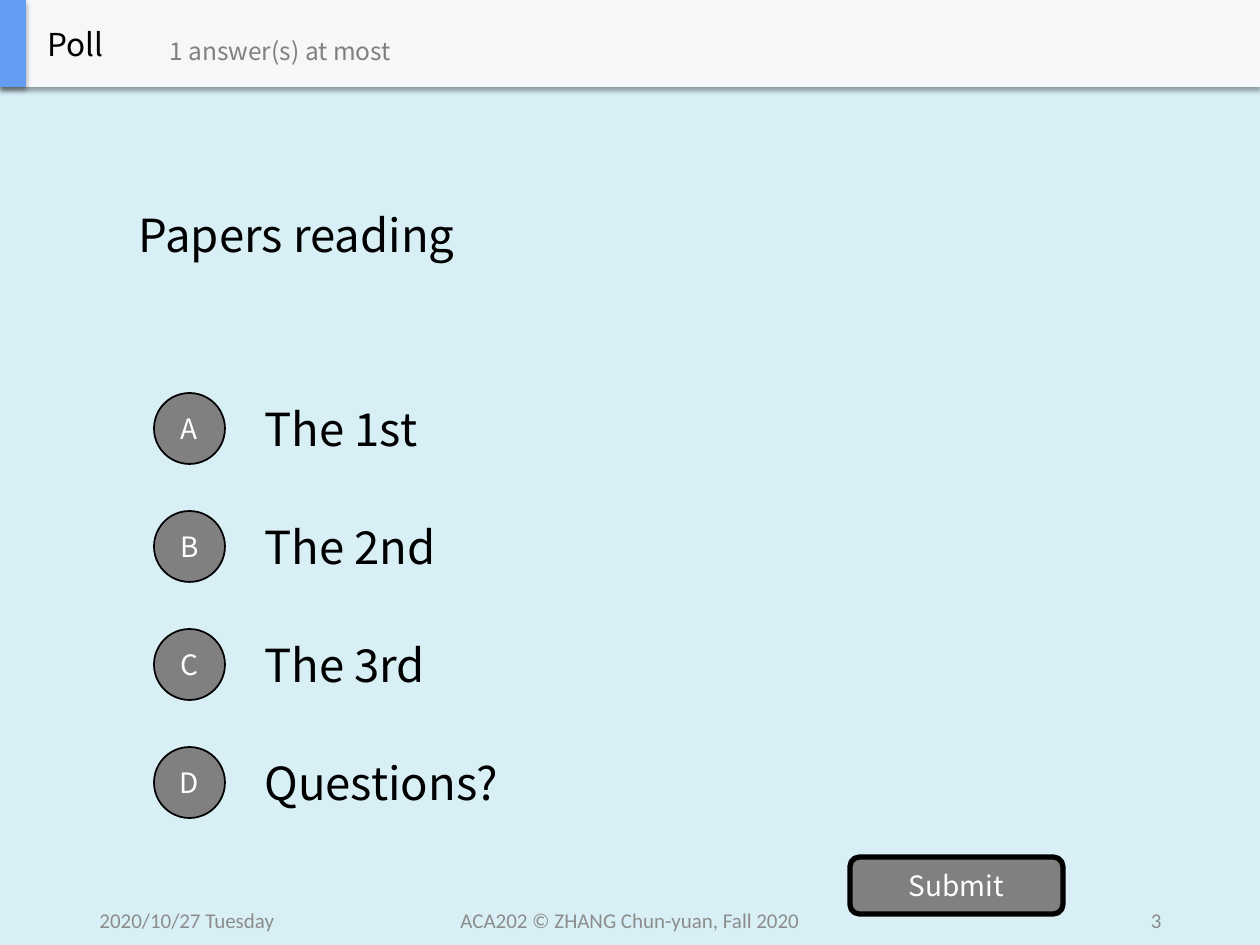
from dataclasses import dataclass

from lxml import etree
from pptx import Presentation
from pptx.dml.color import RGBColor
from pptx.enum.shapes import MSO_SHAPE
from pptx.enum.text import MSO_ANCHOR, MSO_AUTO_SIZE, PP_ALIGN
from pptx.oxml.ns import qn
from pptx.util import Pt

RECT, OVAL, ROUND = MSO_SHAPE.RECTANGLE, MSO_SHAPE.OVAL, MSO_SHAPE.ROUNDED_RECTANGLE
LEFT, CENTER, RIGHT = PP_ALIGN.LEFT, PP_ALIGN.CENTER, PP_ALIGN.RIGHT
MIDDLE, NO_FIT = MSO_ANCHOR.MIDDLE, MSO_AUTO_SIZE.NONE
TITLE_ONLY = 5
EMU_PER_PX = 914400 / 126


@dataclass(frozen=True)
class Theme:
    background: str = "D7EFF5"
    ink: str = "000000"
    gray: str = "808080"
    white: str = "FFFFFF"
    footer: str = "8C8C8C"
    bar: str = "F6F7F8"
    accent: str = "639EF4"
    font: str = "Noto Sans CJK SC"
    footer_font: str = "Calibri"
    body_size: int = 26
    heading_size: int = 18
    button_size: int = 16
    hint_size: int = 14
    footer_size: int = 12


def px(n):
    return round(n * EMU_PER_PX)


class PollSlide:
    def __init__(self, prs, theme):
        self.theme = theme
        self.s = prs.slides.add_slide(prs.slide_layouts[TITLE_ONLY])
        self.shapes = self.s.shapes
        fill = self.s.background.fill
        fill.solid()
        fill.fore_color.rgb = RGBColor.from_string(theme.background)

    def set_text(self, sp, text, size, color, align=LEFT, font=None):
        tf = sp.text_frame
        tf.word_wrap = True
        tf.auto_size = NO_FIT
        tf.vertical_anchor = MIDDLE
        p = tf.paragraphs[0]
        p.text = text
        p.alignment = align
        p.font.name = font or self.theme.font
        p.font.size = Pt(size)
        p.font.color.rgb = RGBColor.from_string(color)

    def title(self, box, text):
        sp = self.s.shapes.title
        sp.left, sp.top, sp.width, sp.height = map(px, box)
        self.set_text(sp, text, self.theme.body_size, self.theme.ink)

    def text(self, box, text, size, color, align=LEFT, font=None):
        sp = self.shapes.add_textbox(*map(px, box))
        self.set_text(sp, text, size, color, align, font)

    def shape(self, kind, box, fill):
        sp = self.shapes.add_shape(kind, *map(px, box))
        sp.shadow.inherit = False
        sp.fill.solid()
        sp.fill.fore_color.rgb = RGBColor.from_string(fill)
        return sp

    def button(self, kind, box, text, line_width):
        t = self.theme
        sp = self.shape(kind, box, t.gray)
        sp.line.color.rgb = RGBColor.from_string(t.ink)
        sp.line.width = Pt(line_width)
        self.set_text(sp, text, t.button_size, t.white, CENTER)

    def bar(self, box, fill):
        sp = self.shape(RECT, box, fill)
        sp.line.fill.background()
        effects = sp._element.spPr.find(qn("a:effectLst"))
        shadow = etree.SubElement(effects, qn("a:outerShdw"), blurRad=str(Pt(3.1)),
                                  dist=str(Pt(1.8)), dir="5400000", rotWithShape="0")
        color = etree.SubElement(shadow, qn("a:srgbClr"), val=self.theme.ink)
        etree.SubElement(color, qn("a:alpha"), val="35000")

    def header(self, heading, hint):
        t = self.theme
        self.shapes = self.s.shapes.add_group_shape().shapes
        self.bar((0, 0, 1260, 87), t.bar)
        self.bar((0, 0, 26, 87), t.accent)
        self.text((35, 0, 262, 87), heading, t.heading_size, t.ink)
        self.text((157, 15, 315, 71), hint, t.hint_size, t.gray)
        self.shapes = self.s.shapes

    def option(self, top, letter, text):
        self.text((252, top, 882, 88), text, self.theme.body_size, self.theme.ink)
        self.button(OVAL, (154, top + 9, 71, 71), letter, 1)

    def footer(self, left, width, text, align):
        t = self.theme
        self.text((left, 895, width, 50), text, t.footer_size, t.footer, align, t.footer_font)


def main():
    prs = Presentation()
    prs.slide_width, prs.slide_height = px(1260), px(945)
    poll = PollSlide(prs, Theme())

    poll.title((126, 87, 1008, 295), "Papers reading")
    answers = ("The 1st", "The 2nd", "The 3rd", "Questions?")
    for i, (letter, answer) in enumerate(zip("ABCD", answers)):
        poll.option(384 + 118 * i, letter, answer)
    poll.button(ROUND, (850, 857, 213, 57), "Submit", 3)
    poll.header("Poll", "1 answer(s) at most")
    poll.footer(87, 284, "2020/10/27 Tuesday", LEFT)
    poll.footer(417, 426, "ACA202 © ZHANG Chun-yuan, Fall 2020", CENTER)
    poll.footer(890, 284, "3", RIGHT)

    prs.save("out.pptx")


if __name__ == "__main__":
    main()
